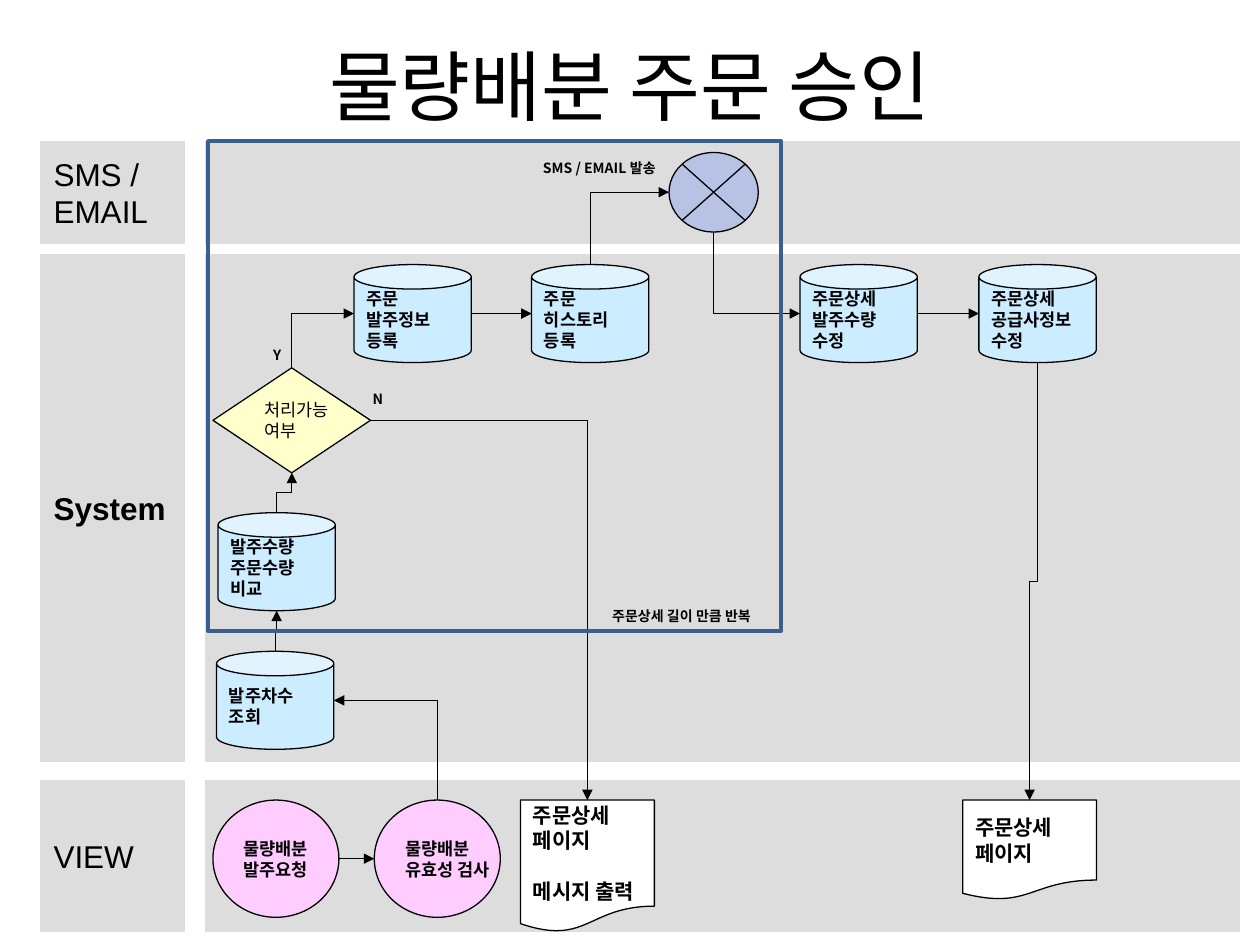
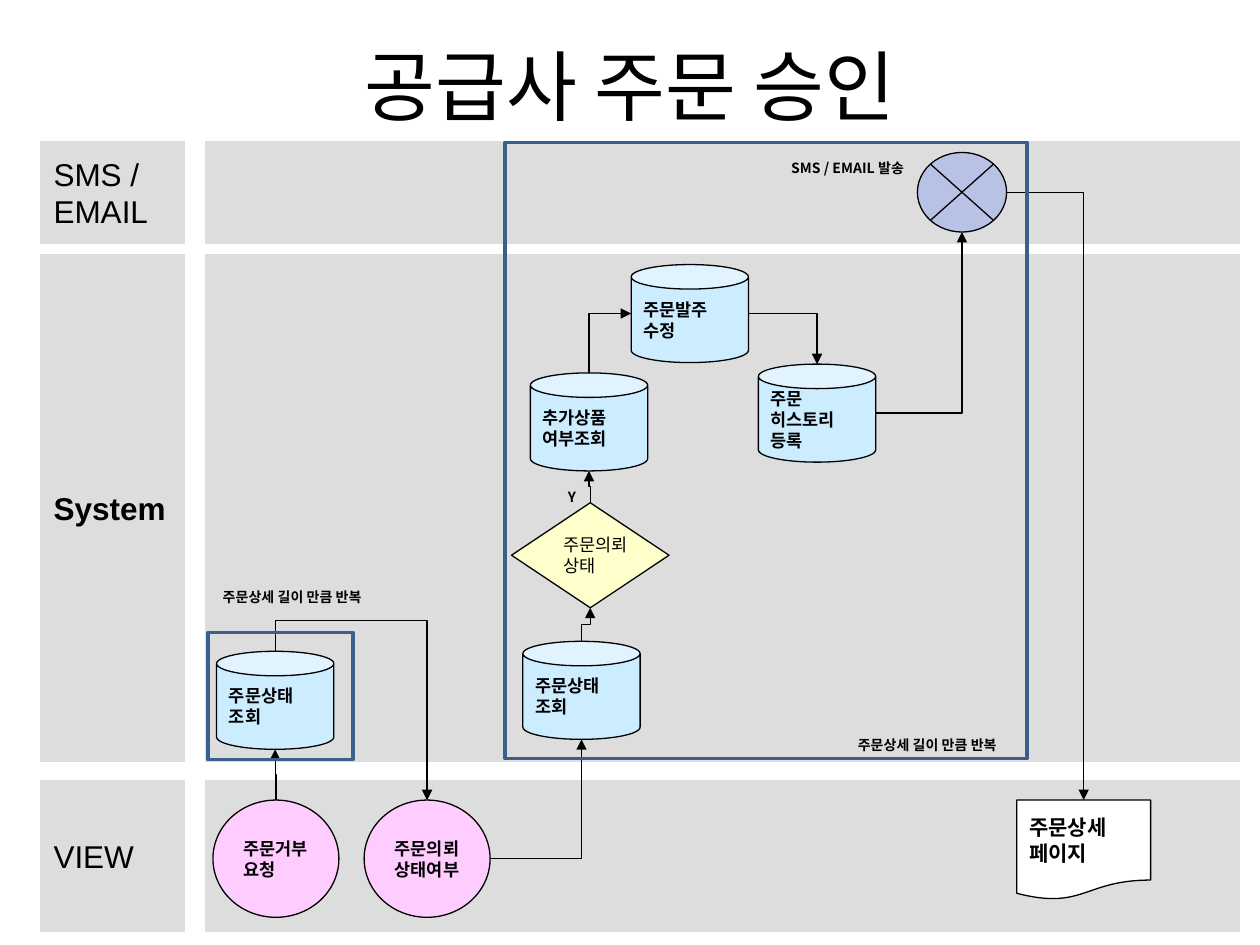
import dataclasses

import lxml.etree
import pptx
import pptx.dml.color
import pptx.enum.shapes
import pptx.enum.text
import pptx.oxml.ns
import pptx.util

Pt = pptx.util.Pt
qn = pptx.oxml.ns.qn
Preset = pptx.enum.shapes.MSO_SHAPE
Anchor = pptx.enum.text.MSO_ANCHOR
Align = pptx.enum.text.PP_ALIGN


@dataclasses.dataclass(frozen=True)
class Theme:
    latin: str = "Arial"
    korean: str = "Noto Sans CJK KR"
    ink: str = "000000"
    lane: str = "DDDDDD"
    can: str = "CCECFF"
    circle: str = "FFCCFF"
    decision: str = "FFFFCC"
    junction: str = "3366FF"
    junction_alpha: int = 22
    document: str = "FFFFFF"
    frame: str = "3A5F8C"
    title_size: float = 44
    lane_size: float = 18
    document_size: float = 12
    step_size: float = 10
    label_size: float = 8
    leading: float = 1.2
    thin: float = 0.75
    thick: float = 2


EIGHT_SITES = {"top": 0, "left": 2, "bottom": 4, "right": 6}
FOUR_SITES = {"top": 0, "left": 1, "bottom": 2, "right": 3}
SITES = {
    Preset.CAN: {"top": 1, "left": 2, "bottom": 3, "right": 4},
    Preset.OVAL: EIGHT_SITES,
    Preset.FLOWCHART_SUMMING_JUNCTION: EIGHT_SITES,
    Preset.DIAMOND: FOUR_SITES,
    Preset.FLOWCHART_DOCUMENT: FOUR_SITES,
}
SIDES = {"top": (0.5, 0), "left": (0, 0.5), "bottom": (0.5, 1), "right": (1, 0.5)}
LANES = [
    ("SMS /\nEMAIL", 81, 58, False),
    ("System", 145.5, 289.5, True),
    ("VIEW", 446, 86.5, False),
]
STEP_TOP = 151.2
VIEW_TOP = 457.2
SMS_TOP = 87.1
LOOP_TEXT = "주문상세 길이 만큼 반복"
SMS_TEXT = "SMS / EMAIL 발송"


def rgb(value):
    return pptx.dml.color.RGBColor.from_string(value)


class FlowSlide:
    def __init__(self, presentation, theme, title):
        self.theme = theme
        self.slide = presentation.slides.add_slide(presentation.slide_layouts[6])
        self.lanes()
        self.title(title)

    def fill_text(self, shape, text, size, font, bold=False, anchor=Anchor.MIDDLE,
                  align=Align.LEFT, wrap=False):
        frame = shape.text_frame
        frame.word_wrap = wrap
        frame.vertical_anchor = anchor
        blocks = [block.split("\n") for block in text.split("\n\n")]
        lines = [(line, block_index > 0 and line_index == 0)
                 for block_index, block in enumerate(blocks)
                 for line_index, line in enumerate(block)]
        leading = Pt(size * self.theme.leading)
        for index, (line, gap) in enumerate(lines):
            paragraph = frame.add_paragraph() if index else frame.paragraphs[0]
            paragraph.text = line
            paragraph.alignment = align
            paragraph.line_spacing = leading
            if gap:
                paragraph.space_before = leading
            paragraph.font.size = Pt(size)
            paragraph.font.bold = bold
            paragraph.font.color.rgb = rgb(self.theme.ink)
            paragraph.font.name = font
            defaults = paragraph._p.pPr.find(qn("a:defRPr"))
            east_asian = lxml.etree.Element(qn("a:ea"), typeface=self.theme.korean)
            defaults.find(qn("a:latin")).addnext(east_asian)

    def shape(self, preset, left, top, width, height, fill, line=None, weight=None):
        shape = self.slide.shapes.add_shape(
            preset, Pt(left), Pt(top), Pt(width), Pt(height))
        shape.shadow.inherit = False
        if fill:
            shape.fill.solid()
            shape.fill.fore_color.rgb = rgb(fill)
        else:
            shape.fill.background()
        shape.line.color.rgb = rgb(line or self.theme.ink)
        shape.line.width = Pt(weight or self.theme.thin)
        return shape

    def lanes(self):
        grey = self.theme.lane
        for name, top, height, bold in LANES:
            self.shape(Preset.RECTANGLE, 117.5, top, 591, height, grey, grey)
            header = self.shape(Preset.RECTANGLE, 23.5, top, 82, height, grey, grey)
            self.fill_text(header, name, self.theme.lane_size, self.theme.latin, bold)

    def title(self, text):
        box = self.slide.shapes.add_textbox(Pt(36), Pt(3.6), Pt(648), Pt(90))
        self.fill_text(box, text, self.theme.title_size, self.theme.korean,
                       align=Align.CENTER, wrap=True)

    def label(self, text, left, top, width):
        box = self.slide.shapes.add_textbox(Pt(left), Pt(top), Pt(width), Pt(17))
        self.fill_text(box, text, self.theme.label_size, self.theme.korean, True,
                       Anchor.TOP)

    def can(self, text, left, top=STEP_TOP):
        shape = self.shape(Preset.CAN, left, top, 67, 56, self.theme.can)
        self.fill_text(shape, text, self.theme.step_size, self.theme.latin, True)
        return shape

    def circle(self, text, left):
        shape = self.shape(Preset.OVAL, left, VIEW_TOP, 72, 67, self.theme.circle)
        self.fill_text(shape, text, self.theme.step_size, self.theme.latin, True)
        return shape

    def decision(self, text, left, top):
        shape = self.shape(Preset.DIAMOND, left, top, 90, 60, self.theme.decision)
        self.fill_text(shape, text, self.theme.step_size, self.theme.korean)
        return shape

    def document(self, text, left, height=57):
        shape = self.shape(Preset.FLOWCHART_DOCUMENT, left, VIEW_TOP, 76.5, height,
                           self.theme.document)
        self.fill_text(shape, text, self.theme.document_size, self.theme.latin, True)
        return shape

    def junction(self, left):
        shape = self.shape(Preset.FLOWCHART_SUMMING_JUNCTION, left, SMS_TOP, 51, 45.5,
                           self.theme.junction)
        color = shape._element.spPr.find(qn("a:solidFill"))[0]
        lxml.etree.SubElement(color, qn("a:alpha"),
                              val=str(self.theme.junction_alpha * 1000))
        self.label(SMS_TEXT, left - 79.2, SMS_TOP + 0.7, 84)
        return shape

    def loop_frame(self, left, top, width, height):
        self.shape(Preset.RECTANGLE, left, top, width, height, None,
                   self.theme.frame, self.theme.thick)

    def link(self, source, source_side, target, target_side, bend=None):
        ends = [(shape.left + int(shape.width * SIDES[side][0]),
                 shape.top + int(shape.height * SIDES[side][1]))
                for shape, side in ((source, source_side), (target, target_side))]
        (start_x, start_y), (end_x, end_y) = ends
        vertical = source_side in ("top", "bottom")
        same_axis = vertical == (target_side in ("top", "bottom"))
        if vertical:
            middle_x, middle_y = (start_x + end_x) // 2, (start_y + end_y) // 2
            half_x, half_y = (end_y - start_y) // 2, (start_x - end_x) // 2
            start_x, start_y = middle_x - half_x, middle_y - half_y
            end_x, end_y = middle_x + half_x, middle_y + half_y
        connector = self.slide.shapes.add_connector(
            pptx.enum.shapes.MSO_CONNECTOR.ELBOW, start_x, start_y, end_x, end_y)
        connector.line.color.rgb = rgb(self.theme.ink)
        connector.line.width = Pt(self.theme.thin)
        properties = connector._element.spPr
        if vertical:
            properties.find(qn("a:xfrm")).set("rot", "5400000")
        geometry = properties.find(qn("a:prstGeom"))
        if not same_axis:
            geometry.set("prst", "bentConnector2")
        if bend is not None:
            lxml.etree.SubElement(geometry.find(qn("a:avLst")), qn("a:gd"),
                                  name="adj1", fmla=f"val {round(bend * 100000)}")
        lxml.etree.SubElement(properties.find(qn("a:ln")), qn("a:tailEnd"),
                              type="triangle")
        lxml.etree.SubElement(properties, qn("a:effectLst"))
        joints = connector._element.find(".//" + qn("p:cNvCxnSpPr"))
        for tag, shape, side in (("a:stCxn", source, source_side),
                                 ("a:endCxn", target, target_side)):
            lxml.etree.SubElement(joints, qn(tag), id=str(shape.shape_id),
                                  idx=str(SITES[shape.auto_shape_type][side]))


def build_allocation_approval(presentation, theme):
    flow = FlowSlide(presentation, theme, "물량배분 주문 승인")
    request = flow.circle("물량배분\n발주요청", 121.7)
    validation = flow.circle("물량배분\n유효성 검사", 213.9)
    round_lookup = flow.can("발주차수\n조회", 123.8, 372.2)
    comparison = flow.can("발주수량\n주문수량\n비교", 124.6, 293)
    possible = flow.decision("처리가능\n여부", 121.7, 210.2)
    order_entry = flow.can("주문\n발주정보\n등록", 202.3)
    history = flow.can("주문\n히스토리\n등록", 303.8)
    message = flow.junction(382.3)
    quantity = flow.can("주문상세\n발주수량\n수정", 457.2)
    supplier = flow.can("주문상세\n공급사정보\n수정", 559.4)
    rejected_page = flow.document("주문상세\n페이지\n\n메시지 출력", 297.4, 75.6)
    detail_page = flow.document("주문상세\n페이지", 550.1)
    for link in [
        (request, "right", validation, "left"),
        (validation, "top", round_lookup, "right"),
        (round_lookup, "top", comparison, "bottom"),
        (comparison, "top", possible, "bottom"),
        (possible, "top", order_entry, "left"),
        (possible, "right", rejected_page, "top"),
        (order_entry, "right", history, "left"),
        (history, "top", message, "left"),
        (message, "bottom", quantity, "left"),
        (quantity, "right", supplier, "left"),
        (supplier, "bottom", detail_page, "top"),
    ]:
        flow.link(*link)
    flow.loop_frame(118.8, 80.6, 327.6, 280.1)
    flow.label(LOOP_TEXT, 342.7, 343.4, 104)
    flow.label("Y", 149, 194.4, 19.5)
    flow.label("N", 205.9, 219.6, 21)


def build_supplier_approval(presentation, theme):
    flow = FlowSlide(presentation, theme, "공급사 주문 승인")
    rejection = flow.circle("주문거부\n요청", 121.7)
    request_check = flow.circle("주문의뢰\n상태여부", 208.1)
    first_status = flow.can("주문상태\n조회", 123.8, 372.2)
    second_status = flow.can("주문상태\n조회", 298.8, 366.5)
    request_status = flow.decision("주문의뢰\n상태", 292.3, 287.3)
    extra_goods = flow.can("추가상품\n여부조회", 303.1, 213.1)
    order_update = flow.can("주문발주\n수정", 360.7)
    history = flow.can("주문\n히스토리\n등록", 433.4, 208.1)
    message = flow.junction(524.2)
    detail_page = flow.document("주문상세\n페이지", 581)
    for link in [
        (rejection, "top", first_status, "bottom"),
        (first_status, "top", request_check, "top", -0.21),
        (request_check, "right", second_status, "bottom"),
        (second_status, "top", request_status, "bottom"),
        (request_status, "top", extra_goods, "bottom"),
        (extra_goods, "top", order_update, "left"),
        (order_update, "right", history, "top"),
        (history, "right", message, "bottom"),
        (message, "right", detail_page, "top"),
    ]:
        flow.link(*link)
    flow.loop_frame(118.8, 361.4, 82.8, 72.7)
    flow.loop_frame(288.7, 81.4, 298.1, 352.1)
    flow.label(LOOP_TEXT, 120.2, 332.6, 104)
    flow.label(LOOP_TEXT, 483.1, 417.6, 104)
    flow.label("Y", 317.5, 275.8, 19.5)


def main():
    presentation = pptx.Presentation()
    presentation.slide_width = Pt(720)
    presentation.slide_height = Pt(540)
    theme = Theme()
    build_allocation_approval(presentation, theme)
    build_supplier_approval(presentation, theme)
    presentation.save("out.pptx")


if __name__ == "__main__":
    main()
